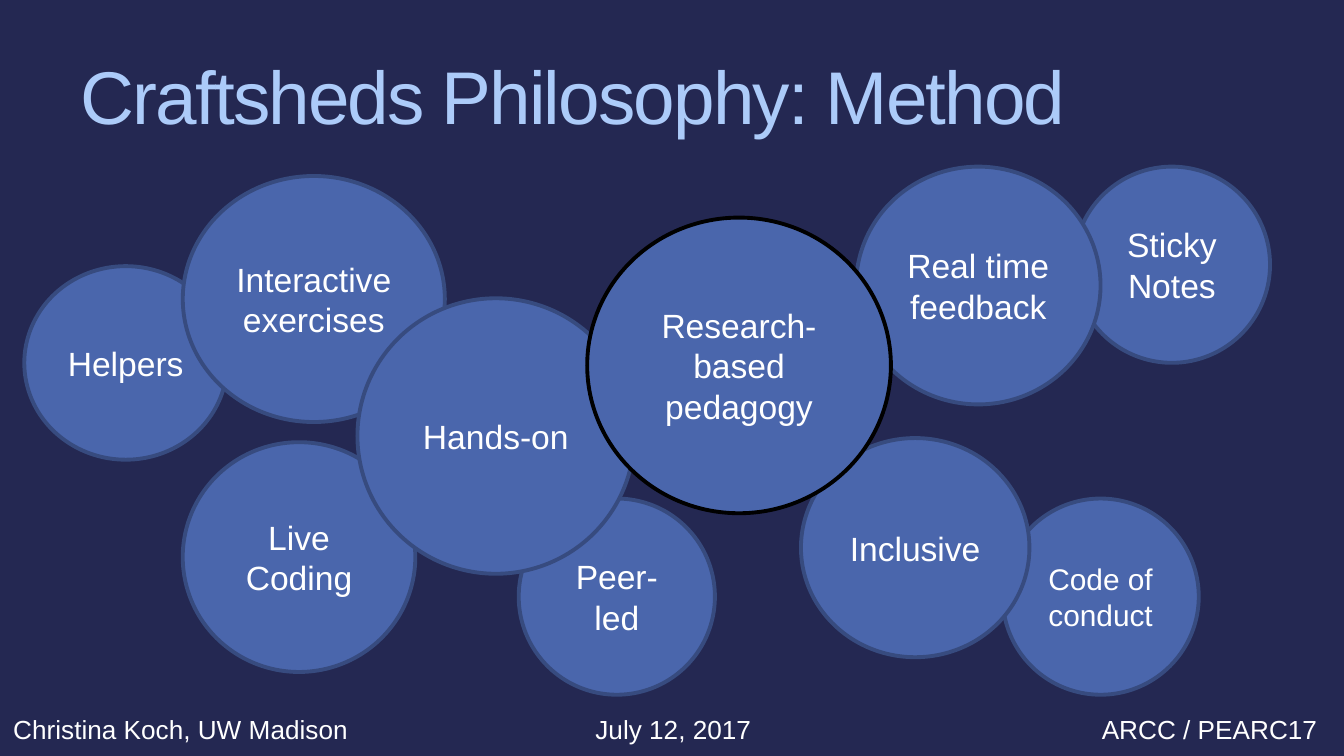
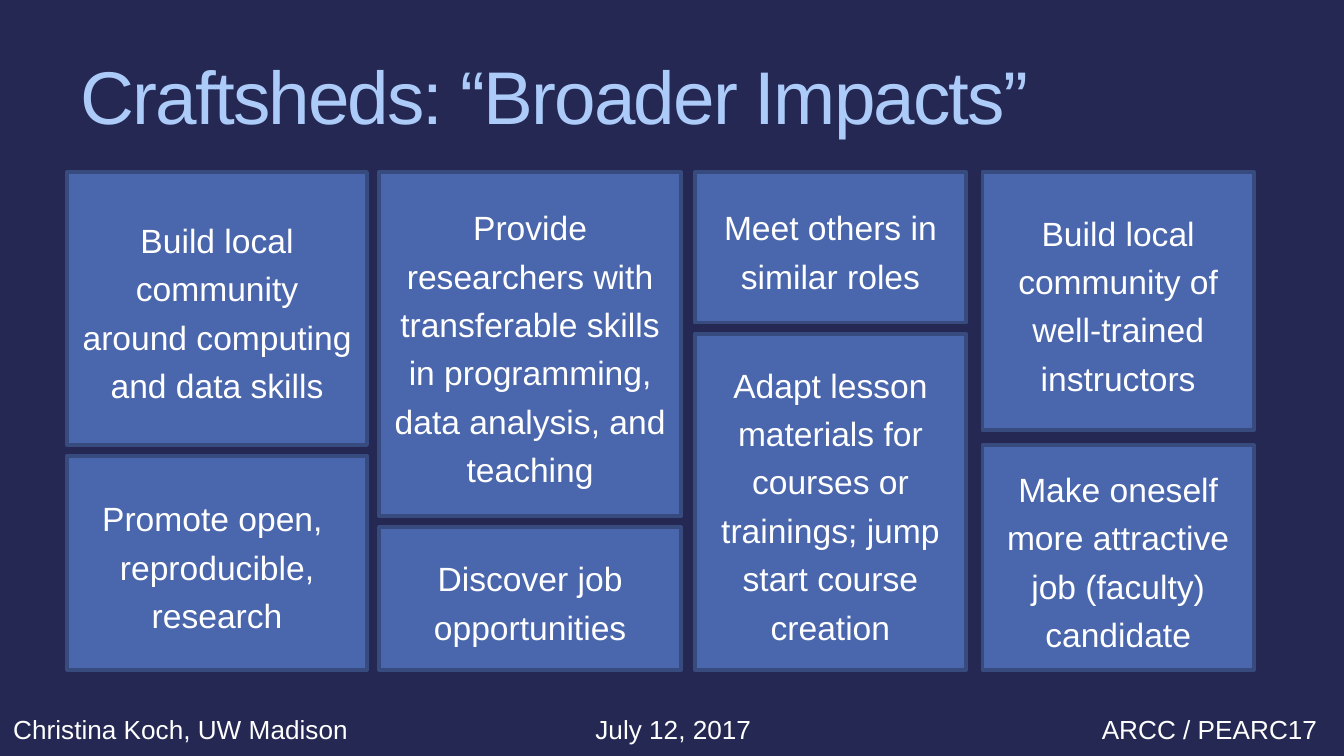
from pptx import Presentation
from pptx.dml.color import RGBColor
from pptx.enum.shapes import MSO_SHAPE as SHAPE
from pptx.enum.text import MSO_ANCHOR as ANCHOR, MSO_AUTO_SIZE as AUTO, PP_ALIGN as ALIGN
from pptx.util import Pt

NAVY = RGBColor(0x24, 0x28, 0x52)
BLUE = RGBColor(0x4A, 0x66, 0xAC)
EDGE = RGBColor(0x37, 0x4B, 0x7F)
SKY = RGBColor(0xAC, 0xCB, 0xF9)
WHITE = RGBColor(0xFF, 0xFF, 0xFF)
BLACK = RGBColor(0x00, 0x00, 0x00)
FONT = "Arial"

# Regions: left, top, width, height in points
TITLE_BOX = (36, 21.6, 648, 58.3)
FOOTER_BOX = (0, 378.7, 712.8, 24.5)
BUBBLE_BOX = (13, 89.3, 667.4, 283)
IMPACT_BOX = (36, 92.2, 635.8, 266.6)

# Footer text, left, width, alignment
FOOTERS = [
    ("Christina Koch, UW Madison", 0, 219.6, ALIGN.LEFT),
    ("July 12, 2017", 308.9, 103.7, ALIGN.CENTER),
    ("ARCC / PEARC17", 522, 190.8, ALIGN.RIGHT),
]

# Bubble text, left, top, width, height, text size, outline; back to front
BUBBLES = [
    ("Peer-led", 264.9, 177.8, 105.1, 105.1, 18, EDGE),
    ("Live Coding", 84.9, 147.6, 124.6, 123.1, 18, EDGE),
    ("Helpers", 0, 53.3, 108.7, 103.7, 18, EDGE),
    ("Interactive exercises", 84.9, 5, 140.4, 131.8, 18, EDGE),
    ("Sticky Notes", 562.3, 0, 105.1, 105.1, 18, EDGE),
    ("Real time feedback", 445.6, 0, 131, 127.4, 18, EDGE),
    ("Hands-on", 178.5, 70.5, 148.3, 147.6, 18, EDGE),
    ("Code of conduct", 524.1, 177.8, 105.1, 105.1, 16, EDGE),
    ("Inclusive", 416.1, 145.4, 122.4, 117.4, 18, EDGE),
    ("Research-based pedagogy", 301.6, 27.3, 162.7, 158.4, 18, BLACK),
]

# Column left, width, then (height, paragraphs) of the upper and lower card
IMPACTS = [
    (0, 160.6,
     (146.2, ["Build local community around computing and data skills"]),
     (114.5, ["Promote open, ", "reproducible, research"])),
    (167, 162,
     (184.3, ["Provide researchers with transferable skills in programming, "
              "data analysis, and teaching"]),
     (76.3, ["Discover job opportunities"])),
    (336.2, 145.4,
     (80.6, ["Meet others in similar roles"]),
     (180, ["Adapt lesson materials for courses or trainings; "
            "jump start course creation"])),
    (490.3, 145.4,
     (138.2, ["Build local community of well-trained instructors"]),
     (120.2, ["Make oneself more attractive job (faculty) candidate"])),
]


def write(tf, paragraphs, size, color=WHITE, align=ALIGN.CENTER, spacing=None):
    tf.word_wrap = True
    for i, text in enumerate(paragraphs):
        p = tf.paragraphs[0] if i == 0 else tf.add_paragraph()
        p.alignment = align
        if spacing:
            p.line_spacing = spacing
        r = p.add_run()
        r.text = text
        r.font.name = FONT
        r.font.size = Pt(size)
        r.font.color.rgb = color


def add_panel(s, kind, box, paragraphs, size=18, outline=EDGE, spacing=None):
    sp = s.shapes.add_shape(kind, *map(Pt, box))
    sp.shadow.inherit = False
    sp.fill.solid()
    sp.fill.fore_color.rgb = BLUE
    sp.line.color.rgb = outline
    sp.line.width = Pt(2.08)
    sp.text_frame.vertical_anchor = ANCHOR.MIDDLE
    write(sp.text_frame, paragraphs, size, spacing=spacing)


def add_title(s, box, text):
    sp = s.shapes.title
    sp.left, sp.top, sp.width, sp.height = map(Pt, box)
    tf = sp.text_frame
    tf.auto_size = AUTO.NONE
    tf.vertical_anchor = ANCHOR.MIDDLE
    write(tf, [text], 40, SKY, ALIGN.LEFT)
    # Tighten letter spacing by one point
    tf.paragraphs[0].runs[0].font._element.set("spc", "-100")


def add_footers(s, box):
    left, top, _, height = box
    for text, x, width, align in FOOTERS:
        sp = s.shapes.add_textbox(Pt(left + x), Pt(top), Pt(width), Pt(height))
        write(sp.text_frame, [text], 14, align=align)


def add_bubbles(s, box):
    left, top = box[:2]
    for text, x, y, width, height, size, outline in BUBBLES:
        add_panel(s, SHAPE.OVAL, (left + x, top + y, width, height),
                  [text], size, outline)


def add_impacts(s, box):
    left, top, _, total = box
    for x, width, upper, lower in IMPACTS:
        # The upper card hangs from the top edge, the lower stands on the bottom
        for y, (height, paragraphs) in ((top, upper), (top + total - lower[0], lower)):
            add_panel(s, SHAPE.RECTANGLE, (left + x, y, width, height),
                      paragraphs, spacing=1.2)


def add_slide(prs, title):
    s = prs.slides.add_slide(prs.slide_layouts[5])
    add_footers(s, FOOTER_BOX)
    add_title(s, TITLE_BOX, title)
    return s


def main():
    prs = Presentation()
    prs.slide_width, prs.slide_height = Pt(720), Pt(405)
    fill = prs.slide_master.background.fill
    fill.solid()
    fill.fore_color.rgb = NAVY

    add_bubbles(add_slide(prs, "Craftsheds Philosophy: Method"), BUBBLE_BOX)
    add_impacts(add_slide(prs, "Craftsheds: “Broader Impacts”"), IMPACT_BOX)
    prs.save("out.pptx")


if __name__ == "__main__":
    main()
